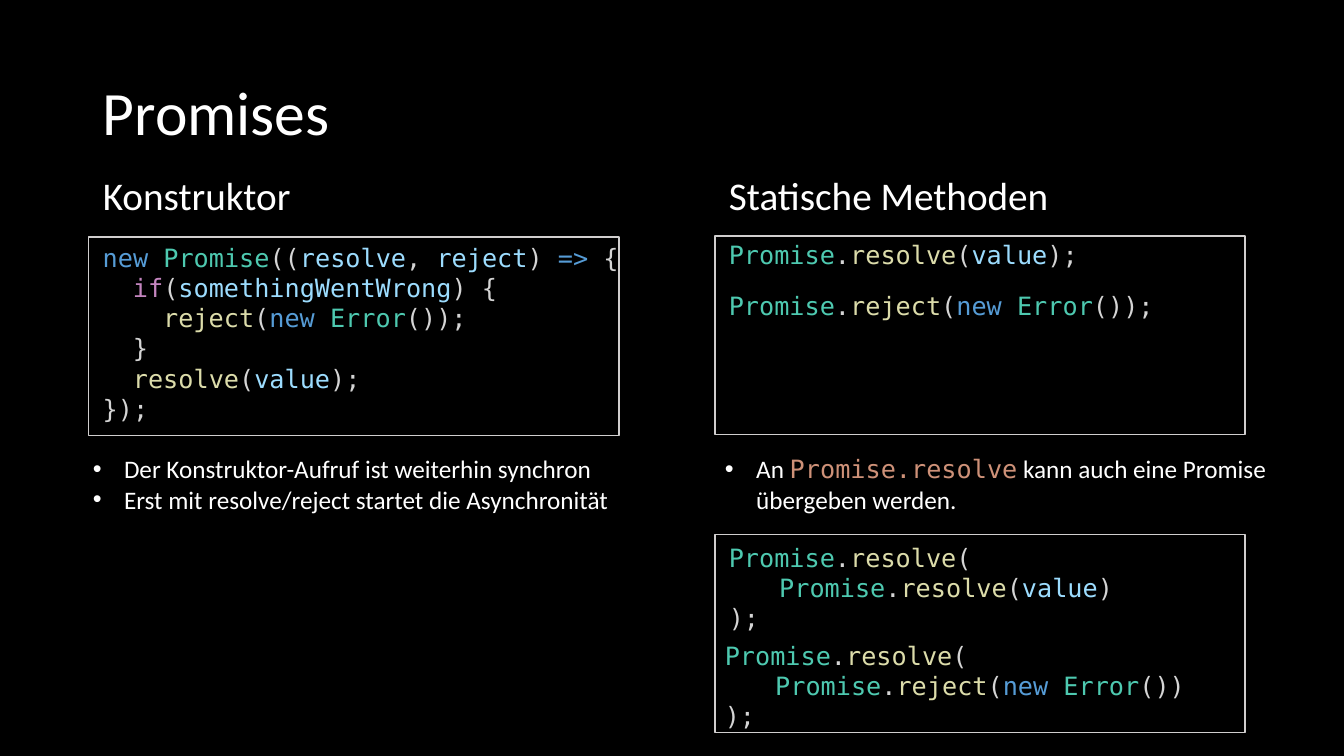
from pptx import Presentation
from pptx import util as u
from pptx.dml.color import RGBColor
from pptx.enum import shapes, text

PX = 9144
SANS, MONO = "Calibri", "DejaVu Sans Mono"
BLACK = RGBColor(0x00, 0x00, 0x00)
WHITE = RGBColor(0xFF, 0xFF, 0xFF)
BORDER = RGBColor(0xD0, 0xCE, 0xCE)
KEYWORD = RGBColor(0x56, 0x9C, 0xD6)
CLASS = RGBColor(0x4E, 0xC9, 0xB0)
PLAIN = RGBColor(0xD4, 0xD4, 0xD4)
VARIABLE = RGBColor(0x9C, 0xDC, 0xFE)
CONTROL = RGBColor(0xC5, 0x86, 0xC0)
FUNCTION = RGBColor(0xDC, 0xDC, 0xAA)
INLINE = RGBColor(0xCE, 0x91, 0x78)


def place(s, left, top, width, height, anchor=text.MSO_ANCHOR.TOP):
    s.left, s.top, s.width, s.height = [v * PX for v in (left, top, width, height)]
    tf = s.text_frame
    tf.word_wrap = True
    tf.auto_size = text.MSO_AUTO_SIZE.NONE
    tf.vertical_anchor = anchor
    return tf


def add_run(p, words, color, size=18, font=MONO):
    r = p.add_run()
    r.text = words
    r.font.name, r.font.size, r.font.bold = font, u.Pt(size), False
    r.font.color.rgb = color


prs = Presentation()
prs.slide_width, prs.slide_height = 1333 * PX, 750 * PX
s = prs.slides.add_slide(prs.slide_layouts[4])
s.background.fill.solid()
s.background.fill.fore_color.rgb = BLACK
ph = {sp.placeholder_format.idx: sp for sp in s.placeholders}

headings = [
    (0, "Promises", 44, (92, 42, 1150, 145), text.MSO_ANCHOR.MIDDLE, 0),
    (1, "Konstruktor", 28, (92, 170, 571, 64), text.MSO_ANCHOR.TOP, 10),
    (3, "Statische Methoden", 28, (713, 170, 571, 64), text.MSO_ANCHOR.TOP, 10),
]
for idx, words, size, box, anchor, before in headings:
    p = place(ph[idx], *box, anchor).paragraphs[0]
    p.alignment = text.PP_ALIGN.LEFT
    p.line_spacing, p.space_before = 0.9, u.Pt(before)
    add_run(p, words, WHITE, size, SANS)

lists = [
    (2, (82, 445, 560, 71), [
        [("Der Konstruktor-Aufruf ist weiterhin synchron", WHITE, SANS)],
        [("Erst mit resolve/reject startet die Asynchronität", WHITE, SANS)],
    ]),
    (4, (709, 445, 573, 71), [
        [("An ", WHITE, SANS), ("Promise.resolve", INLINE, MONO),
         (" kann auch eine Promise", WHITE, SANS), None,
         ("übergeben werden.", WHITE, SANS)],
    ]),
]
for idx, box, items in lists:
    tf = place(ph[idx], *box)
    for i, item in enumerate(items):
        p = tf.add_paragraph() if i else tf.paragraphs[0]
        p.space_before = u.Pt(0)
        pPr = p._p.get_or_add_pPr()
        pPr.set("marL", str(31 * PX))
        pPr.set("indent", str(-31 * PX))
        for part in item:
            if part is None:
                p.add_line_break()
            else:
                words, color, font = part
                add_run(p, words, color, 18, font)

for left, top in [(88, 235), (709, 234), (709, 530)]:
    sp = s.shapes.add_shape(shapes.MSO_SHAPE.RECTANGLE, left * PX, top * PX, 526 * PX, 197 * PX)
    sp.shadow.inherit = False
    sp.fill.background()
    sp.line.color.rgb = BORDER
    sp.line.width = u.Pt(1)

NEW_ERROR = [("new ", KEYWORD), ("Error", CLASS)]
VALUE = ("value", VARIABLE)
RESOLVE = [("Promise", CLASS), (".", PLAIN), ("resolve", FUNCTION), ("(", PLAIN)]
REJECT = [("Promise", CLASS), (".", PLAIN), ("reject", FUNCTION), ("(", PLAIN)]
END = [(");", PLAIN)]

code_blocks = [
    ((92, 235, 560, 222), [
        (0, [("new ", KEYWORD), ("Promise", CLASS), ("((", PLAIN), ("resolve", VARIABLE),
             (", ", PLAIN), ("reject", VARIABLE), (") ", PLAIN), ("=>", KEYWORD), (" {", PLAIN)]),
        (30, [("if", CONTROL), ("(", PLAIN), ("somethingWentWrong", VARIABLE), (") {", PLAIN)]),
        (60, [("reject", FUNCTION), ("(", PLAIN), *NEW_ERROR, ("());", PLAIN)]),
        (30, [("}", PLAIN)]),
        (30, [("resolve", FUNCTION), ("(", PLAIN), VALUE, *END]),
        (0, [("});", PLAIN)]),
    ]),
    ((713, 233, 500, 40), [(0, [*RESOLVE, VALUE, *END])]),
    ((713, 283, 500, 40), [(0, [*REJECT, *NEW_ERROR, ("());", PLAIN)])]),
    ((713, 533, 500, 101), [(0, RESOLVE), (50, [*RESOLVE, VALUE, (")", PLAIN)]), (0, END)]),
    ((709, 630, 500, 101), [(0, RESOLVE), (50, [*REJECT, *NEW_ERROR, ("())", PLAIN)]), (0, END)]),
]
for box, lines in code_blocks:
    tf = place(s.shapes.add_textbox(0, 0, 0, 0), *box)
    for i, (indent, tokens) in enumerate(lines):
        p = tf.add_paragraph() if i else tf.paragraphs[0]
        p._p.get_or_add_pPr().set("marL", str(indent * PX))
        for words, color in tokens:
            add_run(p, words, color)

prs.save("out.pptx")
